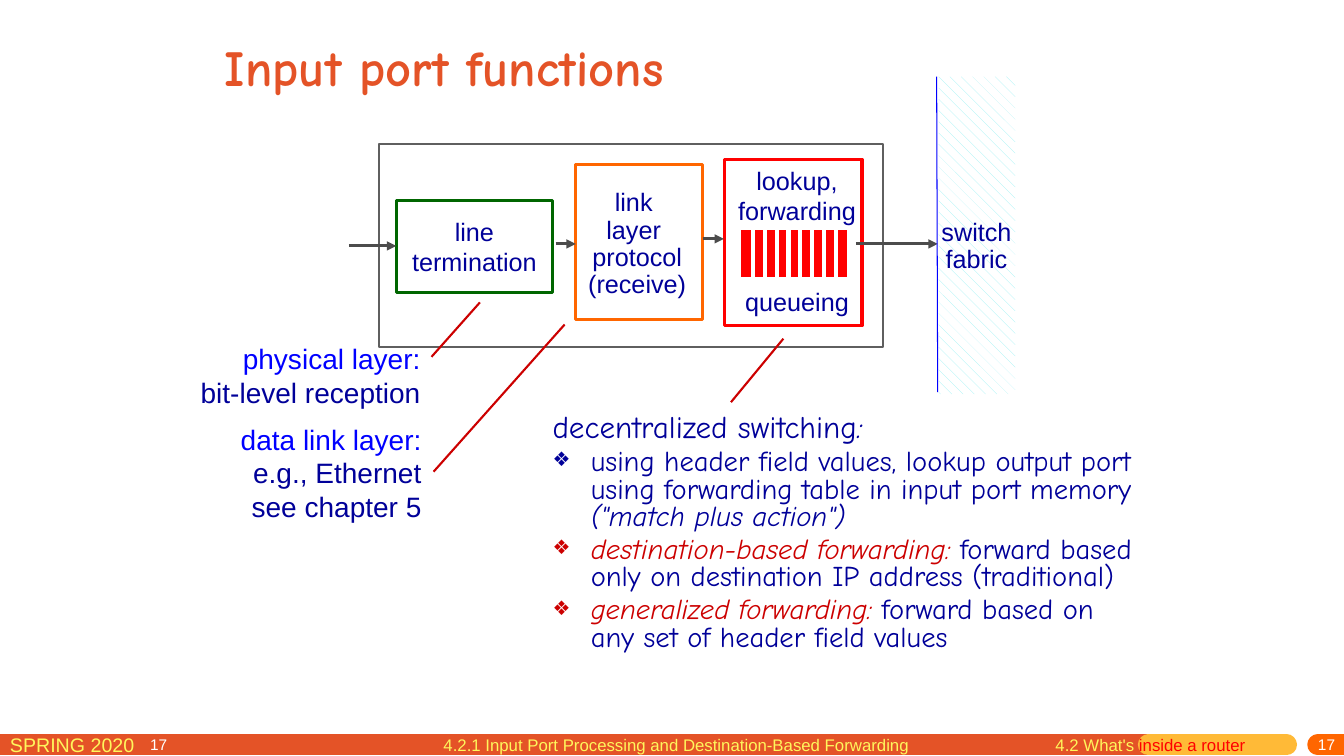
from lxml import etree
from pptx import Presentation
from pptx.dml.color import RGBColor
from pptx.enum import dml, shapes, text
from pptx.oxml import ns
from pptx.util import Inches, Pt

COLORS = {
    "white": "FFFFFF", "orange": "E45327", "amber": "FFBA37", "bright": "FF6600",
    "lemon": "FFF65C", "navy": "000099", "blue": "0000FF", "green": "006600",
    "red": "FF0000", "crimson": "CC0000", "frame": "5F5F5F", "arrow": "4C4C4C",
    "hatch": "98F1F4",
}
BODY_FONT, LABEL_FONT = "Comic Neue", "Arial"
LEFT, CENTER, RIGHT = text.PP_ALIGN.LEFT, text.PP_ALIGN.CENTER, text.PP_ALIGN.RIGHT
MIDDLE, TOP = text.MSO_ANCHOR.MIDDLE, text.MSO_ANCHOR.TOP

TITLE = "Input port functions"
# (text, colour, italic) runs; the first paragraph is the lead-in
SWITCHING = [
    [("decentralized switching", "navy", False), (":", "navy", True)],
    [("using header field values, lookup output port using forwarding table "
      "in input port memory ", "navy", False),
     ("(\"match plus action\")", "navy", True)],
    [("destination-based forwarding: ", "crimson", True),
     ("forward based only on destination IP address (traditional)", "navy", False)],
    [("generalized forwarding: ", "crimson", True),
     ("forward based on any set of header field values", "navy", False)],
]

# box, outline colour, outline width
STAGES = [
    ((3.76, 1.43, 5, 2.01), "frame", 1.5),
    ((3.93, 1.99, 1.55, 0.91), "green", 2.25),
    ((5.71, 1.63, 1.26, 1.54), "bright", 2.25),
    ((7.19, 1.58, 1.36, 1.65), "red", 2.25),
]
# start x, end x, y
FLOW = [(3.46, 3.93, 2.44), (5.51, 5.71, 2.42), (6.97, 7.18, 2.37), (8.49, 9.3, 2.42)]
# box, lines, line spacing
STAGE_LABELS = [
    ((3.93, 1.99, 1.55, 0.91), ["line", "termination"], None),
    ((5.62, 1.97, 1.4, 0.91), ["link ", "layer ", "protocol", "(receive)"], 0.9),
    ((9.11, 1.99, 1.15, 0.91), ["switch", "fabric"], 0.9),
]
LOOKUP_BOX = (7.22, 1.59, 1.37, 1.6)
LOOKUP = ["lookup,", "forwarding", "queueing"]
LAYER_NOTES = [
    ((1.89, 3.34, 2.38, 0.77), ["physical layer:", "bit-level reception"]),
    ((1.89, 4.14, 2.39, 1.1), ["data link layer:", "e.g., Ethernet", "see chapter 5"]),
]
CALLOUTS = [(4.28, 3.54, 4.76, 3), (4.3, 4.68, 5.6, 3.22), (7.25, 3.99, 7.77, 3.36)]

FABRIC = (9.31, 0.76, 0.76, 3.15)
FABRIC_EDGE = (9.29, 0.76, 9.3, 3.89)
QUEUE = (7.33, 2.26, 1.09, 0.51)
QUEUE_GAPS, FIRST_GAP, LAST_GAP = 8, 7.47, 8.29

FOOTER_Y = 7.39
FOOTER_BARS = [(0, 11.39, "orange"), (11.39, 12.76, "amber"), (13.07, 13.33, "bright")]
# box, runs, size, alignment
FOOTER_TEXTS = [
    ((0, 7.22, 2.29, 0.31), [("SPRING 2020", "lemon")], 14, LEFT),
    ((10.37, 7.24, 2.2, 0.31), [("4.2 What's ", "lemon"), ("inside a router", "red")], 12, LEFT),
    ((4.3, 7.24, 4.88, 0.31),
     [("4.2.1 Input Port Processing and Destination-Based Forwarding", "lemon")], 12, LEFT),
]
PAGE_NUMBERS = [((10.75, 7.32, 2.59, 0.18), RIGHT), ((1.39, 7.33, 0.55, 0.15), LEFT)]


def rgb(name):
    return RGBColor.from_string(COLORS[name])


def inches(values):
    return [Inches(v) for v in values]


def sub(parent, tag, **attributes):
    return etree.SubElement(parent, ns.qn(tag), attributes)


def add_run(paragraph, words, size, color, font=LABEL_FONT, italic=None, bold=None):
    run = paragraph.add_run()
    run.text = words
    run.font.size, run.font.name = Pt(size), font
    run.font.color.rgb = rgb(color)
    run.font.italic, run.font.bold = italic, bold


def paragraph_at(frame, index):
    return frame.paragraphs[0] if index == 0 else frame.add_paragraph()


def add_lines(frame, lines, size, colors, align, spacing=None):
    for i, (words, color) in enumerate(zip(lines, colors)):
        paragraph = paragraph_at(frame, i)
        paragraph.alignment, paragraph.line_spacing = align, spacing
        add_run(paragraph, words, size, color)


def add_label(target, box, wrap=False, anchor=TOP):
    frame = target.add_textbox(*inches(box)).text_frame
    frame.word_wrap, frame.vertical_anchor = wrap, anchor
    return frame


def add_box(target, box, line=None, width=0, fill="white"):
    shape = target.add_shape(shapes.MSO_SHAPE.RECTANGLE, *inches(box))
    shape.shadow.inherit = False
    shape.fill.solid()
    shape.fill.fore_color.rgb = rgb(fill)
    if line:
        shape.line.color.rgb, shape.line.width = rgb(line), Pt(width)
    else:
        shape.line.fill.background()
    return shape


def add_line(target, ends, color, width, arrow=False, round_cap=False):
    line = target.add_connector(shapes.MSO_CONNECTOR.STRAIGHT, *inches(ends))
    line.line.color.rgb, line.line.width = rgb(color), Pt(width)
    outline = line.line._get_or_add_ln()
    if round_cap:
        outline.set("cap", "rnd")
    if arrow:
        sub(outline, "a:tailEnd", type="triangle")
    sub(line._element.spPr, "a:effectLst")


def fill_title(title):
    title.left, title.top, title.width, title.height = inches((2.13, 0.32, 8.5, 0.67))
    frame = title.text_frame
    frame.auto_size, frame.vertical_anchor = text.MSO_AUTO_SIZE.NONE, MIDDLE
    frame.paragraphs[0].alignment = LEFT
    add_run(frame.paragraphs[0], TITLE, 36, "orange", BODY_FONT, bold=True)


def fill_body(body):
    body.left, body.top, body.width, body.height = inches((5.38, 4.06, 5.97, 2.92))
    frame = body.text_frame
    frame.auto_size, frame.vertical_anchor = text.MSO_AUTO_SIZE.NONE, TOP
    for i, runs in enumerate(SWITCHING):
        paragraph = paragraph_at(frame, i)
        paragraph.alignment, paragraph.line_spacing = LEFT, 0.8
        paragraph.space_before = Pt(4 if i else 0)
        properties = paragraph._p.get_or_add_pPr()
        properties.set("marL", str(Inches(0.38)))
        properties.set("indent", str(-Inches(0.38)))
        if i:
            sub(properties, "a:buSzPct", val="70000")
            sub(properties, "a:buChar", char="❖")
        else:
            sub(properties, "a:buNone")
        for words, color, italic in runs:
            add_run(paragraph, words, 20.4 if i else 22.2, color, BODY_FONT, italic)


def draw_footer(target):
    for start, end, color in FOOTER_BARS:
        add_line(target, (start, FOOTER_Y, end, FOOTER_Y), color, 15, round_cap=True)
    for box, runs, size, align in FOOTER_TEXTS:
        paragraph = add_label(target, box, wrap=True).paragraphs[0]
        paragraph.alignment = align
        for words, color in runs:
            add_run(paragraph, words, size, color)
    for box, align in PAGE_NUMBERS:
        frame = add_label(target, box, wrap=True, anchor=MIDDLE)
        frame.margin_top, frame.margin_bottom = 0, Inches(0.05)
        add_lines(frame, ["17"], 11, ["white"], align)


def draw_port(target):
    fabric = add_box(target, FABRIC)
    fabric.fill.patterned()
    fabric.fill.pattern = dml.MSO_PATTERN.SHINGLE
    fabric.fill.fore_color.rgb, fabric.fill.back_color.rgb = rgb("hatch"), rgb("white")
    for box, color, width in STAGES:
        add_box(target, box, color, width)
    for start, end, y in FLOW:
        add_line(target, (start, y, end, y), "arrow", 2.25, arrow=True)
    add_line(target, FABRIC_EDGE, "blue", 0.75)

    for box, lines, spacing in STAGE_LABELS:
        frame = add_label(target, box, anchor=MIDDLE)
        add_lines(frame, lines, 18, ["navy"] * len(lines), CENTER, spacing)
    lookup = add_label(target, LOOKUP_BOX)
    add_lines(lookup, LOOKUP, 18, ["navy"] * len(LOOKUP), CENTER)
    lookup.paragraphs[-1].space_before = Pt(43)

    queue = target.add_group_shape().shapes
    add_box(queue, QUEUE, "white", 3, fill="red")
    gap_step = (LAST_GAP - FIRST_GAP) / (QUEUE_GAPS - 1)
    for i in range(QUEUE_GAPS):
        x = FIRST_GAP + i * gap_step
        add_line(queue, (x, 2.27, x, 2.76), "white", 3)


def draw_notes(target):
    for box, lines in LAYER_NOTES:
        colors = ["blue"] + ["navy"] * (len(lines) - 1)
        add_lines(add_label(target, box), lines, 20, colors, RIGHT)
    for ends in CALLOUTS:
        add_line(target, ends, "crimson", 1.5)


def main():
    deck = Presentation()
    deck.slide_width, deck.slide_height = Inches(13.33), Inches(7.5)
    slide = deck.slides.add_slide(deck.slide_layouts[1])
    fill_title(slide.shapes.title)
    fill_body(slide.placeholders[1])
    draw_footer(slide.shapes)
    draw_port(slide.shapes)
    draw_notes(slide.shapes)
    deck.save("out.pptx")


if __name__ == "__main__":
    main()
